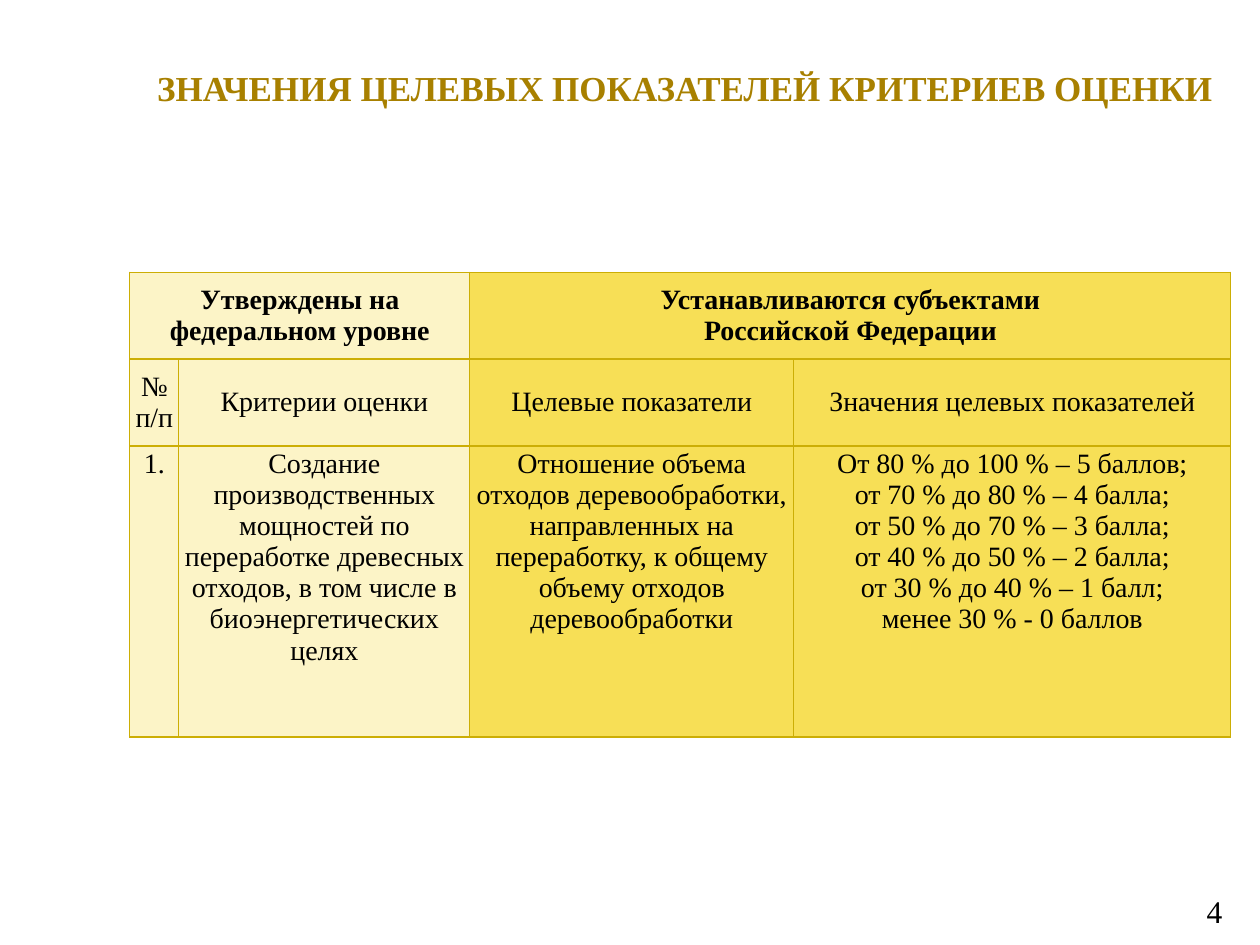
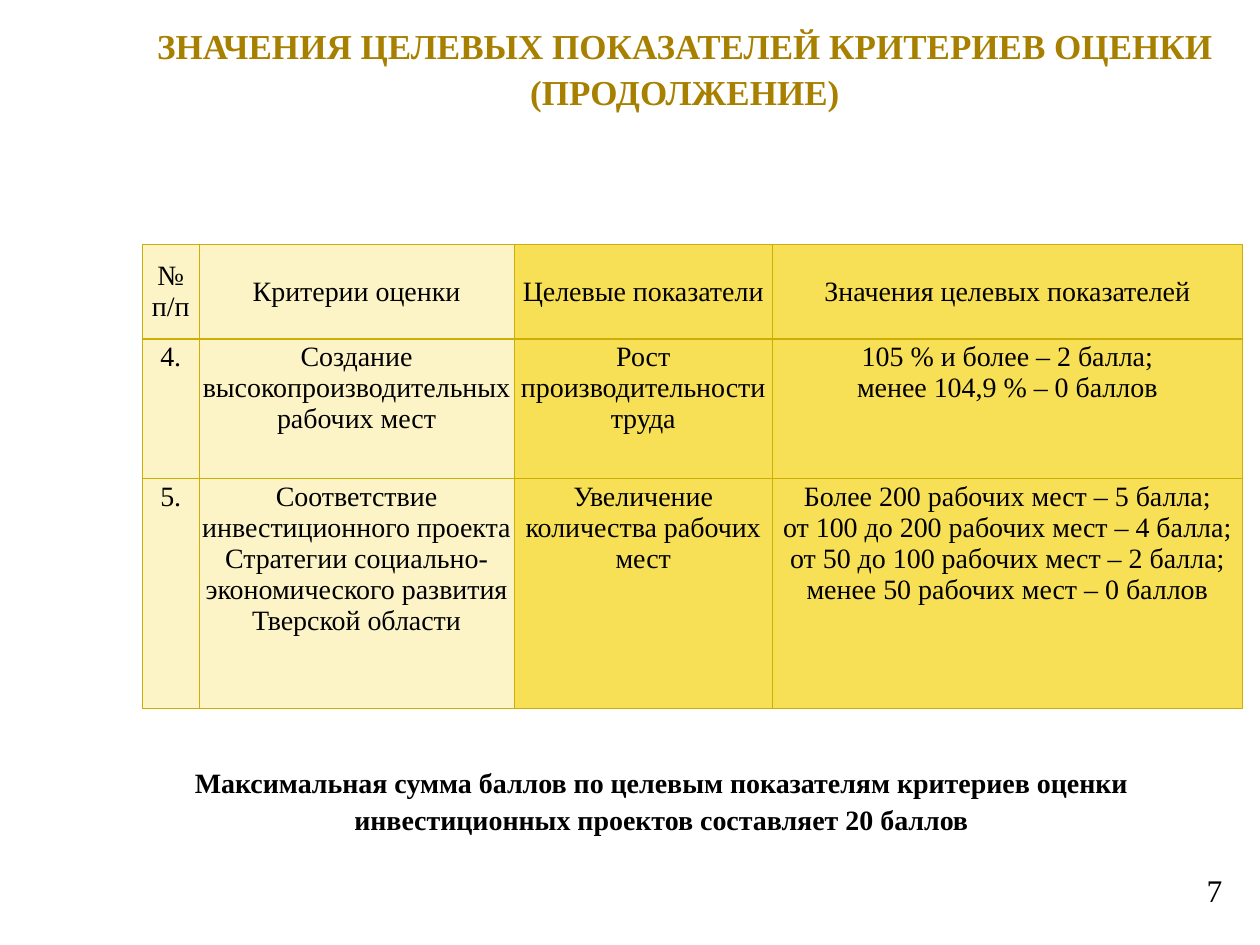
from lxml.etree import SubElement
from pptx import Presentation
from pptx.dml.color import RGBColor
from pptx.enum.text import MSO_ANCHOR as Anchor, MSO_AUTO_SIZE as AutoSize, PP_ALIGN as Align
from pptx.oxml.ns import qn
from pptx.util import Inches, Pt

COLORS = {"title": "A88000", "text": "000000", "federal": "FCF4C7",
          "regional": "F7DF56", "border": "CCAE05"}
FONT = "Times New Roman"
GRID_COLUMNS, GRID_ROWS = 100, 75
TITLE_ONLY = 5
FEDERAL_COLUMNS = 2
HEADING = "ЗНАЧЕНИЯ ЦЕЛЕВЫХ ПОКАЗАТЕЛЕЙ КРИТЕРИЕВ ОЦЕНКИ"
COLUMN_HEADS = ["№ п/п", "Критерии оценки", "Целевые показатели",
                "Значения целевых показателей"]


class Deck:
    """Hold the shared style and the current slide, measured on a 100 by 75 grid."""

    def __init__(self):
        self.prs = Presentation()
        self.prs.slide_width, self.prs.slide_height = Inches(10), Inches(7.5)
        self.slide = None

    def x(self, columns):
        return round(self.prs.slide_width * columns / GRID_COLUMNS)

    def y(self, rows):
        return round(self.prs.slide_height * rows / GRID_ROWS)

    def place(self, left, top, width, height):
        return self.x(left), self.y(top), self.x(width), self.y(height)

    def fill_text(self, frame, lines, size, color="text", bold=False, align=Align.CENTER,
                  spacing=1):
        frame.word_wrap = True
        for index, line in enumerate(lines):
            paragraph = frame.add_paragraph() if index else frame.paragraphs[0]
            paragraph.alignment, paragraph.line_spacing = align, spacing
            run = paragraph.add_run()
            run.text = line
            run.font.name, run.font.size, run.font.bold = FONT, Pt(size), bold
            run.font.color.rgb = RGBColor.from_string(COLORS[color])

    def start(self, heading, drop=0):
        self.slide = self.prs.slides.add_slide(self.prs.slide_layouts[TITLE_ONLY])
        title = self.slide.shapes.title
        title.left, title.top, title.width, title.height = self.place(10.7, 1.2, 87.3, 12.5)
        frame = title.text_frame
        frame.auto_size, frame.vertical_anchor = AutoSize.NONE, Anchor.TOP
        frame.margin_left = frame.margin_right = self.x(0.2)
        frame.margin_top, frame.margin_bottom = self.y(0.5 + drop), self.y(0.5)
        self.fill_text(frame, [heading], 20, "title", bold=True, spacing=1.08)

    def text(self, line, place, size, **style):
        box = self.slide.shapes.add_textbox(*self.place(*place))
        self.fill_text(box.text_frame, [line], size, **style)

    def number(self, page, top):
        self.text(page, (74.7, top, 23.3, 5.2), 18, align=Align.RIGHT)

    def border(self, cell):
        properties = cell._tc.get_or_add_tcPr()
        for index, side in enumerate(("a:lnL", "a:lnR", "a:lnT", "a:lnB")):
            line = properties.makeelement(qn(side), {"w": str(Pt(0.75))})
            fill = SubElement(line, qn("a:solidFill"))
            SubElement(fill, qn("a:srgbClr"), val=COLORS["border"])
            properties.insert(index, line)

    def criteria(self, left, top, widths, heights, rows, head_rows=1, spans=()):
        place = self.place(left, top, sum(widths), sum(heights))
        table = self.slide.shapes.add_table(len(heights), len(widths), *place).table
        table.first_row = table.horz_banding = False
        for column, width in zip(table.columns, widths):
            column.width = self.x(width)
        for row, height in zip(table.rows, heights):
            row.height = self.y(height)
        for first, last in spans:
            table.cell(0, first).merge(table.cell(0, last))
        for r, row in enumerate(rows):
            for c, content in enumerate(row):
                cell = table.cell(r, c)
                cell.margin_left = cell.margin_right = self.x(0.1)
                cell.margin_top = cell.margin_bottom = self.y(0.2)
                cell.vertical_anchor = Anchor.MIDDLE if r < head_rows else Anchor.TOP
                cell.fill.solid()
                owner = "federal" if c < FEDERAL_COLUMNS else "regional"
                cell.fill.fore_color.rgb = RGBColor.from_string(COLORS[owner])
                self.border(cell)
                if content:
                    self.fill_text(cell.text_frame, content.split("\n"), 16,
                                   bold=bool(spans) and r == 0)


def main():
    deck = Deck()

    deck.start(HEADING, drop=3.3)
    deck.number("4", 70.3)
    deck.criteria(10.3, 21.6, [3.9, 23.1, 25.7, 34.7], [6.9, 6.9, 23.1], [
        ["Утверждены на федеральном уровне", None,
         "Устанавливаются субъектами\nРоссийской Федерации", None],
        COLUMN_HEADS,
        ["1.",
         "Создание производственных мощностей по переработке древесных отходов, "
         "в том числе в биоэнергетических целях",
         "Отношение объема отходов деревообработки, направленных на переработку, "
         "к общему объему отходов деревообработки",
         "От 80 % до 100 % – 5 баллов;\nот 70 % до 80 % – 4 балла;\n"
         "от 50 % до 70 % – 3 балла;\nот 40 % до 50 % – 2 балла;\n"
         "от 30 % до 40 % – 1 балл;\nменее 30 % - 0 баллов"],
    ], head_rows=2, spans=[(0, 1), (2, 3)])

    deck.start(HEADING + " (ПРОДОЛЖЕНИЕ)")
    deck.number("7", 68.6)
    deck.criteria(11.3, 19.4, [4.5, 25, 20.5, 37.3], [7.5, 11.1, 18.2], [
        COLUMN_HEADS,
        ["4.", "Создание высокопроизводительных рабочих мест",
         "Рост производительности труда",
         "105 % и более – 2 балла;\nменее 104,9 % – 0 баллов"],
        ["5.",
         "Соответствие инвестиционного проекта Стратегии "
         "социально-экономического развития Тверской области",
         "Увеличение количества рабочих мест",
         "Более 200 рабочих мест – 5 балла;\nот 100 до 200 рабочих мест – 4 балла;\n"
         "от 50 до 100 рабочих мест – 2 балла;\nменее 50 рабочих мест – 0 баллов"],
    ])
    deck.text("Максимальная сумма баллов по целевым показателям критериев оценки "
              "инвестиционных проектов составляет 20 баллов",
              (8.8, 60, 87.4, 6.4), 16, bold=True, spacing=1.1)

    deck.prs.save("out.pptx")


if __name__ == "__main__":
    main()
